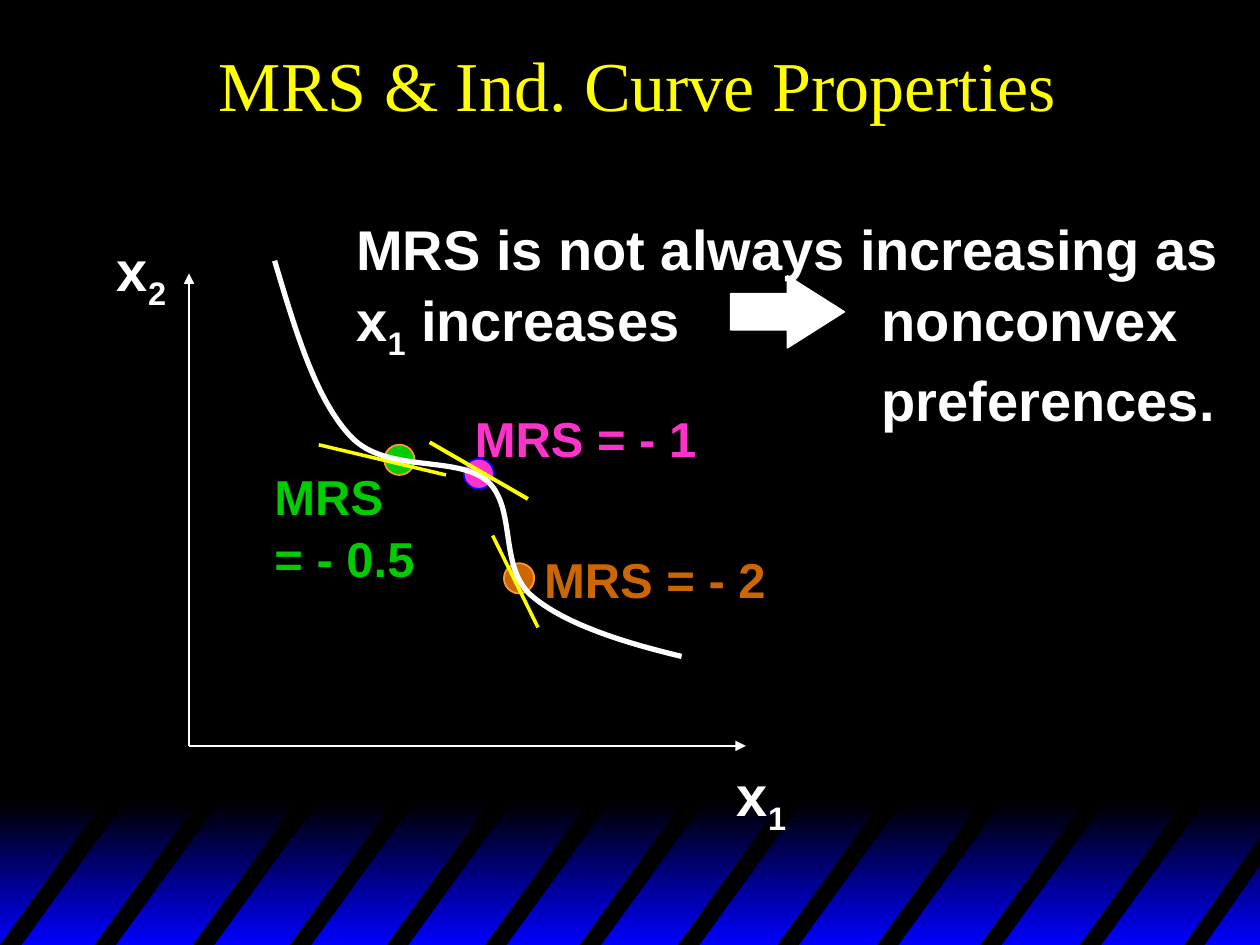
from dataclasses import dataclass

from lxml.etree import SubElement
from pptx import Presentation
from pptx.dml.color import RGBColor
from pptx.enum.shapes import MSO_CONNECTOR, MSO_SHAPE
from pptx.enum.text import MSO_ANCHOR, PP_ALIGN
from pptx.oxml.ns import qn
from pptx.util import Inches, Pt


@dataclass(frozen=True)
class Theme:
    black: str = "000000"
    white: str = "FFFFFF"
    yellow: str = "FFFF00"
    blue: str = "0000FF"
    pink: str = "FF33CC"
    green: str = "00CC00"
    brown: str = "CC6600"
    orange: str = "FF9933"
    title_font: str = "Times New Roman"
    body_font: str = "Arial"
    title_size: int = 40
    body_size: int = 32
    label_size: int = 28


theme = Theme()
color = RGBColor.from_string

deck = Presentation()
deck.slide_width, deck.slide_height = Inches(10), Inches(7.5)
page = deck.slides.add_slide(deck.slide_layouts[6])
page.background.fill.solid()
page.background.fill.fore_color.rgb = color(theme.black)


def write(text, left, top, width, height, *, ink=theme.white, size=theme.body_size,
          font=theme.body_font, bold=True, align=PP_ALIGN.LEFT,
          anchor=MSO_ANCHOR.TOP, wrap=True, spacing=1.05, tab=None):
    """Add a text box; underscores enclose subscripts, newlines break lines."""
    box = page.shapes.add_textbox(Inches(left), Inches(top), Inches(width), Inches(height))
    frame = box.text_frame
    frame.word_wrap = wrap
    frame.vertical_anchor = anchor
    para = frame.paragraphs[0]
    para.alignment = align
    para.line_spacing = spacing
    if tab:
        stops = SubElement(para._p.get_or_add_pPr(), qn("a:tabLst"))
        SubElement(stops, qn("a:tab"), pos=str(Inches(tab)), algn="l")
    for row, line in enumerate(text.split("\n")):
        if row:
            para.add_line_break()
        for index, piece in enumerate(line.split("_")):
            if not piece:
                continue
            span = para.add_run()
            span.text = piece
            span.font.name, span.font.size, span.font.bold = font, Pt(size), bold
            span.font.color.rgb = color(ink)
            if index % 2:
                span.font._element.set("baseline", "-25000")


def draw_line(start, end, ink, weight, arrow=False):
    line = page.shapes.add_connector(MSO_CONNECTOR.STRAIGHT, *map(Inches, start + end))
    line.line.color.rgb = color(ink)
    line.line.width = Pt(weight)
    if arrow:
        SubElement(line.line._get_or_add_ln(), qn("a:tailEnd"), type="triangle")
    SubElement(line._element.spPr, qn("a:effectLst"))


# Gradient band along the bottom
band = page.shapes.add_shape(MSO_SHAPE.RECTANGLE, 0, Inches(6.38), Inches(10), Inches(1.12))
band.shadow.inherit = False
band.line.fill.background()
band.fill.gradient()
band.fill.gradient_angle = 270
for stop, ink, position in zip(band.fill.gradient_stops, (theme.black, theme.blue), (0, 1)):
    stop.color.rgb = color(ink)
    stop.position = position

# Slanted black stripes; the last one is cut at the slide edge
stripe_lefts = (0, 0.75, 1.53, 2.3, 3.07, 3.85, 4.6, 5.38, 6.17, 6.96, 7.78, 8.57)
stripes = [[(left, 7.5), (left + 0.84, 6.34), (left + 1.01, 6.34), (left + 0.17, 7.5)]
           for left in stripe_lefts]
stripes.append([(9.4, 7.5), (10, 6.64), (10, 6.87), (9.56, 7.5)])
for corners in stripes:
    points = [(Inches(x), Inches(y)) for x, y in corners]
    builder = page.shapes.build_freeform(*points[0])
    builder.add_line_segments(points[1:], close=True)
    stripe = builder.convert_to_shape()
    stripe.shadow.inherit = False
    stripe.fill.solid()
    stripe.fill.fore_color.rgb = color(theme.black)
    stripe.line.fill.background()

# Title
write("MRS & Ind. Curve Properties", 0.81, 0, 8.5, 1.33, ink=theme.yellow,
      size=theme.title_size, font=theme.title_font, bold=False,
      align=PP_ALIGN.CENTER, anchor=MSO_ANCHOR.MIDDLE, spacing=1)

# Axes and their names
origin = (1.5, 5.92)
for tip in ((1.5, 2.17), (5.92, 5.92)):
    draw_line(origin, tip, theme.white, 1, arrow=True)
write("x_2_", 0.83, 1.79, 0.67, 0.71)
write("x_1_", 5.75, 5.96, 0.75, 0.71)

# Points on the curve
for left, top, ink, edge in ((3.68, 3.64, theme.pink, theme.blue),
                             (3.05, 3.53, theme.green, theme.orange),
                             (4, 4.47, theme.brown, theme.orange)):
    dot = page.shapes.add_shape(MSO_SHAPE.OVAL, Inches(left), Inches(top),
                                Inches(0.24), Inches(0.24))
    dot.shadow.inherit = False
    dot.fill.solid()
    dot.fill.fore_color.rgb = color(ink)
    dot.line.color.rgb = color(edge)
    dot.line.width = Pt(1)

# Tangents behind the curve
draw_line((2.53, 3.53), (3.54, 3.77), theme.yellow, 2)
draw_line((3.91, 4.25), (4.27, 4.98), theme.yellow, 2)

# Slope labels
write("MRS\n= - 0.5", 2.08, 3.63, 1.31, 1.04, ink=theme.green, size=theme.label_size, wrap=False)
write("MRS = - 1", 3.67, 3.17, 1.96, 0.57, ink=theme.pink, size=theme.label_size, wrap=False)
write("MRS = - 2", 4.22, 4.29, 1.96, 0.57, ink=theme.brown, size=theme.label_size, wrap=False)

# Conclusion with its arrow
write("MRS is not always increasing as x_1_ increases\tnonconvex\n\tpreferences.",
      2.73, 1.63, 7.27, 1.78, tab=4.17)
arrow = page.shapes.add_shape(MSO_SHAPE.RIGHT_ARROW, Inches(5.8), Inches(2.19),
                              Inches(0.9), Inches(0.57))
arrow.adjustments[1] = 0.79
arrow.shadow.inherit = False
arrow.fill.solid()
arrow.fill.fore_color.rgb = color(theme.white)
arrow.line.color.rgb = color(theme.white)
arrow.line.width = Pt(1)

# Indifference curve: a start, then three points for each cubic segment
curve_points = [(Inches(x), Inches(y)) for x, y in (
    (2.18, 2.07),
    (2.35, 2.64), (2.51, 3.18), (2.79, 3.47),
    (3.07, 3.76), (3.63, 3.61), (3.87, 3.82),
    (4.1, 4.03), (3.96, 4.49), (4.21, 4.72),
    (4.47, 4.95), (4.95, 5.1), (5.41, 5.21))]
builder = page.shapes.build_freeform(*curve_points[0])
builder.add_line_segments(curve_points[1:], close=False)
curve = builder.convert_to_shape()
outline = next(curve._element.iter(qn("a:path")))
segments = outline.findall(qn("a:lnTo"))
for first in range(0, len(segments), 3):
    bend = SubElement(outline, qn("a:cubicBezTo"))
    for segment in segments[first:first + 3]:
        bend.append(segment[0])
        outline.remove(segment)
curve.shadow.inherit = False
curve.fill.background()
curve.line.color.rgb = color(theme.white)
curve.line.width = Pt(3)

# Tangent in front of the curve
draw_line((3.41, 3.51), (4.19, 3.96), theme.yellow, 2.25)

deck.save("out.pptx")
